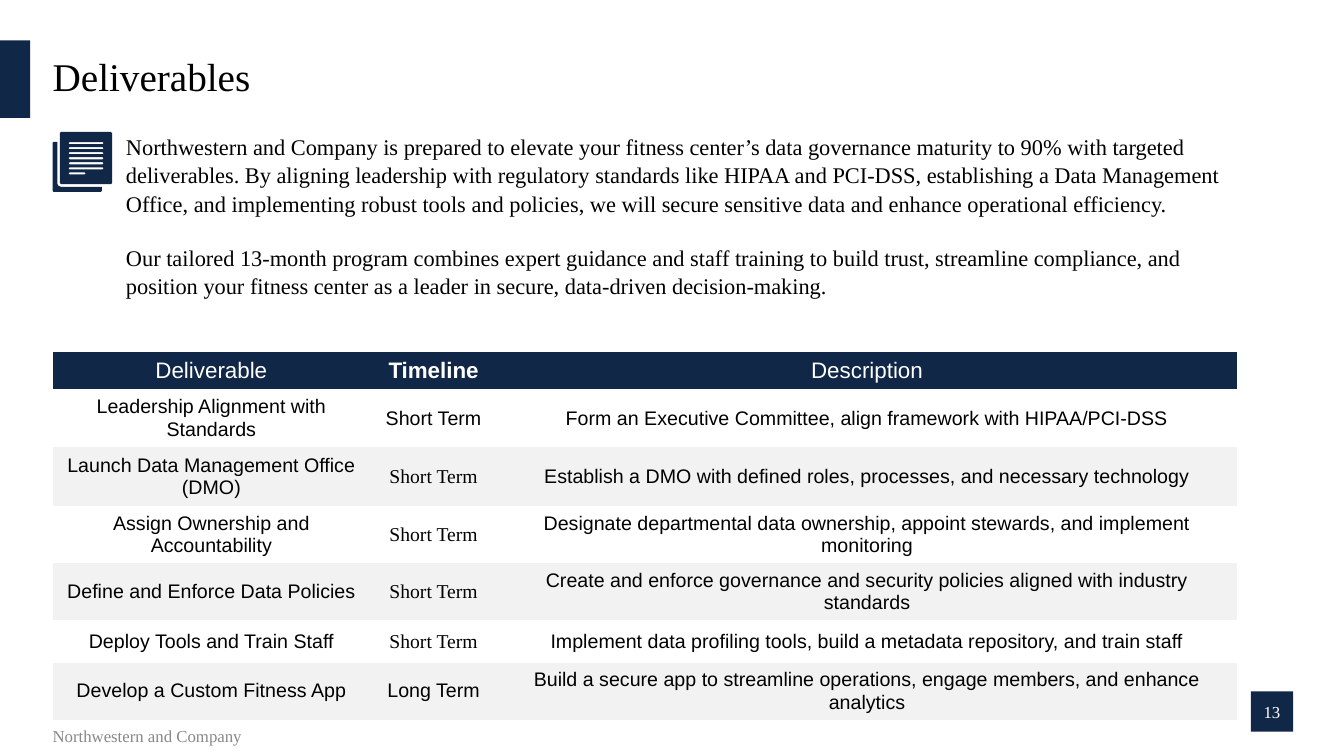
from pptx import Presentation
from pptx.dml.color import RGBColor
from pptx.enum.shapes import MSO_SHAPE as Preset
from pptx.enum.text import MSO_ANCHOR as Anchor, PP_ALIGN as Align
from pptx.util import Pt

NAVY, WHITE, BLACK, GRAY, BAND = "102747", "FFFFFF", "000000", "888888", "F2F2F2"
SERIF, SANS = "Times New Roman", "Arial"
NO_STYLE = "{2D5ABB26-0587-4C30-8999-92F81FD0307C}"
TIGHT = (0, 0, 0, 0)
PADDED = (7.2, 3.6, 7.2, 3.6)
EDGE = 37.6

SUMMARY = [
    "Northwestern and Company is prepared to elevate your fitness center’s data governance "
    "maturity to 90% with targeted deliverables. By aligning leadership with regulatory "
    "standards like HIPAA and PCI-DSS, establishing a Data Management Office, and implementing "
    "robust tools and policies, we will secure sensitive data and enhance operational efficiency.",
    "Our tailored 13-month program combines expert guidance and staff training to build trust, "
    "streamline compliance, and position your fitness center as a leader in secure, data-driven "
    "decision-making.",
]
HEADINGS = ("Deliverable", "Timeline", "Description")
DELIVERABLES = [
    ("Leadership Alignment with Standards", "Short Term", SANS,
     "Form an Executive Committee, align framework with HIPAA/PCI-DSS"),
    ("Launch Data Management Office (DMO)", "Short Term", SERIF,
     "Establish a DMO with defined roles, processes, and necessary technology"),
    ("Assign Ownership and Accountability", "Short Term", SERIF,
     "Designate departmental data ownership, appoint stewards, and implement monitoring"),
    ("Define and Enforce Data Policies", "Short Term", SERIF,
     "Create and enforce governance and security policies aligned with industry standards"),
    ("Deploy Tools and Train Staff", "Short Term", SERIF,
     "Implement data profiling tools, build a metadata repository, and train staff"),
    ("Develop a Custom Fitness App", "Long Term", SANS,
     "Build a secure app to streamline operations, engage members, and enhance analytics"),
]
COLUMN_WIDTHS = (226.8, 90.7, 316.8, 211.7)
ROW_HEIGHTS = (26.4, 41.4, 42, 40.8, 40.8, 30.2, 40.8)


def color(hex_value):
    """Turn a hex string into a colour."""
    return RGBColor.from_string(hex_value)


def apply(target, values):
    """Set each named attribute of the target."""
    for name, value in values.items():
        setattr(target, name, value)


def paint(part, fill):
    """Give a shape or cell a solid fill."""
    part.fill.solid()
    part.fill.fore_color.rgb = color(fill)


def write(frame, lines, size, ink, face=SERIF, bold=False, align=Align.LEFT, gap=0, spacing=None):
    """Fill a text frame with equally formatted paragraphs."""
    for index, line in enumerate(lines):
        paragraph = frame.add_paragraph() if index else frame.paragraphs[0]
        paragraph.text = line
        apply(paragraph, {"alignment": align, "line_spacing": spacing,
                          "space_before": Pt(gap if index else 0)})
        apply(paragraph.font, {"size": Pt(size), "name": face, "bold": bold})
        paragraph.font.color.rgb = color(ink)


def set_frame(frame, margins, anchor):
    """Set wrapping, margins and anchor of a text frame."""
    left, top, right, bottom = map(Pt, margins)
    apply(frame, {"word_wrap": True, "vertical_anchor": anchor, "margin_left": left,
                  "margin_top": top, "margin_right": right, "margin_bottom": bottom})


def add_text(slide, box, lines, size, ink, margins=TIGHT, anchor=Anchor.MIDDLE, **style):
    """Add a text box."""
    frame = slide.shapes.add_textbox(*map(Pt, box)).text_frame
    set_frame(frame, margins, anchor)
    write(frame, lines, size, ink, **style)


def add_block(slide, box):
    """Add a plain navy rectangle."""
    block = slide.shapes.add_shape(Preset.RECTANGLE, *map(Pt, box))
    block.shadow.inherit = False
    paint(block, NAVY)
    block.line.fill.background()
    return block


def bevel(left, top, right, bottom, cut):
    """List the corners of a rectangle with cut corners."""
    return [(left + cut, top), (right - cut, top), (right, top + cut), (right, bottom - cut),
            (right - cut, bottom), (left + cut, bottom), (left, bottom - cut), (left, top + cut)]


def add_outline(shapes, contours):
    """Add one navy freeform made of closed contours."""
    first, *holes = [[(Pt(x), Pt(y)) for x, y in contour] for contour in contours]
    builder = shapes.build_freeform(*first[0])
    builder.add_line_segments(first[1:])
    for hole in holes:
        builder.move_to(*hole[0])
        builder.add_line_segments(hole[1:])
    outline = builder.convert_to_shape()
    outline.shadow.inherit = False
    paint(outline, NAVY)
    outline.line.fill.background()


def add_pages_icon(slide):
    """Add the icon of two stacked pages."""
    icon = slide.shapes.add_group_shape().shapes
    back_page = [(38.3, 101.3), (41, 101.3), (41, 131.3), (41.8, 132.8), (43.6, 133.4),
                 (72.8, 133.4), (72.8, 136.4), (72, 137), (38.3, 137), (EDGE, 136.4),
                 (EDGE, 102)]
    add_outline(icon, [back_page])
    text_lines = [bevel(49.1, top, right, top + 1.5, 0.6)
                  for top, right in ((101.5 + 3.6 * i, 61.2 if i == 6 else 73.9)
                                     for i in range(7))]
    add_outline(icon, [bevel(42.8, 94.3, 80.1, 131.6, 0.8), *text_lines])


def add_deliverables(slide):
    """Add the table of deliverables."""
    box = (EDGE, 251.6, sum(COLUMN_WIDTHS), sum(ROW_HEIGHTS))
    table = slide.shapes.add_table(len(ROW_HEIGHTS), len(COLUMN_WIDTHS), *map(Pt, box)).table
    apply(table, {"first_row": False, "horz_banding": False})
    table._tbl.tblPr[0].text = NO_STYLE
    for column, width in zip(table.columns, COLUMN_WIDTHS):
        column.width = Pt(width)
    for row, height in zip(table.rows, ROW_HEIGHTS):
        row.height = Pt(height)

    def fill_row(index, texts, fill, size, ink, timeline_style):
        table.cell(index, 2).merge(table.cell(index, 3))
        for position, text in enumerate(texts):
            cell = table.cell(index, position)
            paint(cell, fill)
            cell.vertical_anchor = Anchor.MIDDLE
            style = {"face": SANS, **(timeline_style if position == 1 else {})}
            write(cell.text_frame, [text], size, ink, align=Align.CENTER, **style)

    fill_row(0, HEADINGS, NAVY, 16, WHITE, {"bold": True})
    for index, (deliverable, timeline, face, description) in enumerate(DELIVERABLES, 1):
        fill_row(index, (deliverable, timeline, description), WHITE if index % 2 else BAND,
                 14, BLACK, {"face": face})


def main():
    """Build and save the slide."""
    deck = Presentation()
    apply(deck, {"slide_width": Pt(960), "slide_height": Pt(540)})
    slide = deck.slides.add_slide(deck.slide_layouts[6])
    add_text(slide, (EDGE, 28.8, 886.3, 55.4), ["Deliverables"], 28, BLACK, spacing=0.9)
    add_block(slide, (0, 28.8, 21.6, 55.4))
    add_text(slide, (EDGE, 511.2, 324, 28.8), ["Northwestern and Company"], 12, GRAY,
             margins=(0, 3.6, 7.2, 3.6))
    page_number = add_block(slide, (893.5, 493.9, 30.2, 28.8)).text_frame
    set_frame(page_number, PADDED, Anchor.MIDDLE)
    write(page_number, ["13"], 12, WHITE, align=Align.CENTER)
    add_pages_icon(slide)
    add_text(slide, (90, 94.3, 792.7, 116.6), SUMMARY, 16, BLACK, anchor=Anchor.TOP,
             gap=18.6, spacing=1.05)
    add_deliverables(slide)
    deck.save("out.pptx")


if __name__ == "__main__":
    main()
